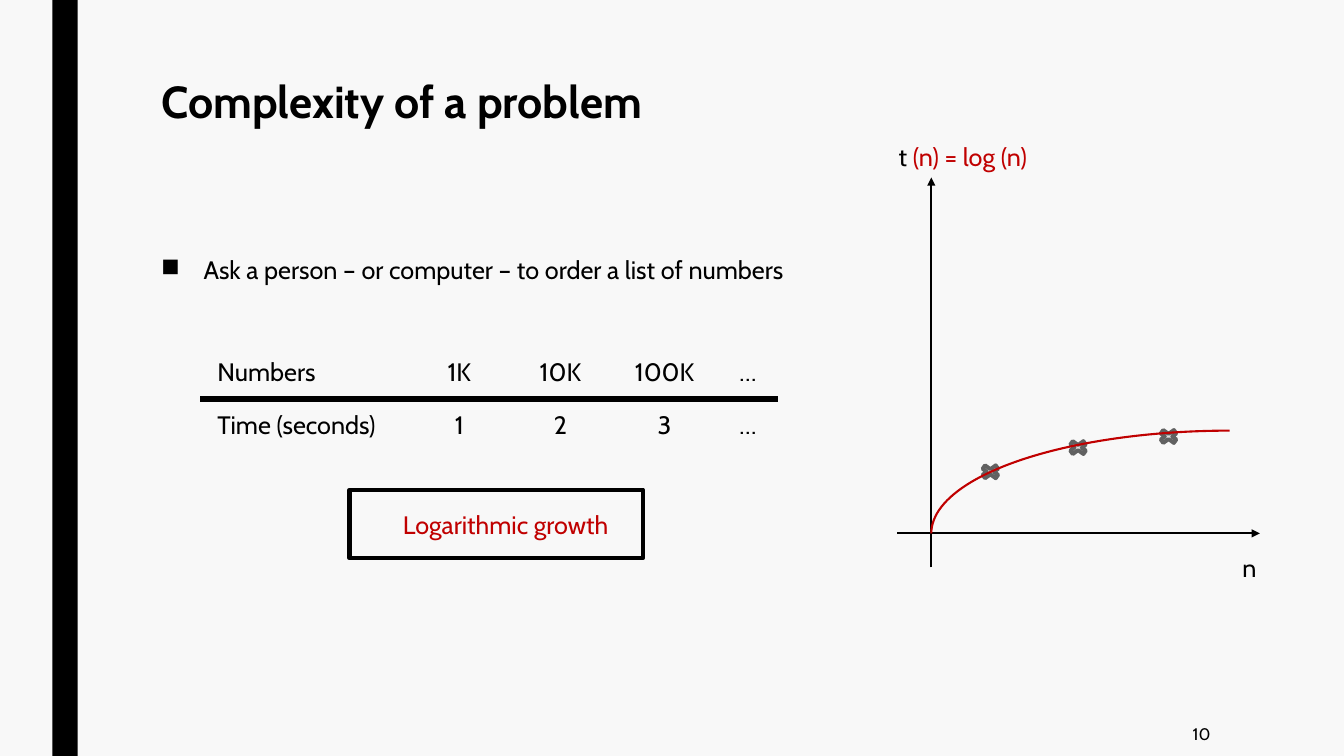
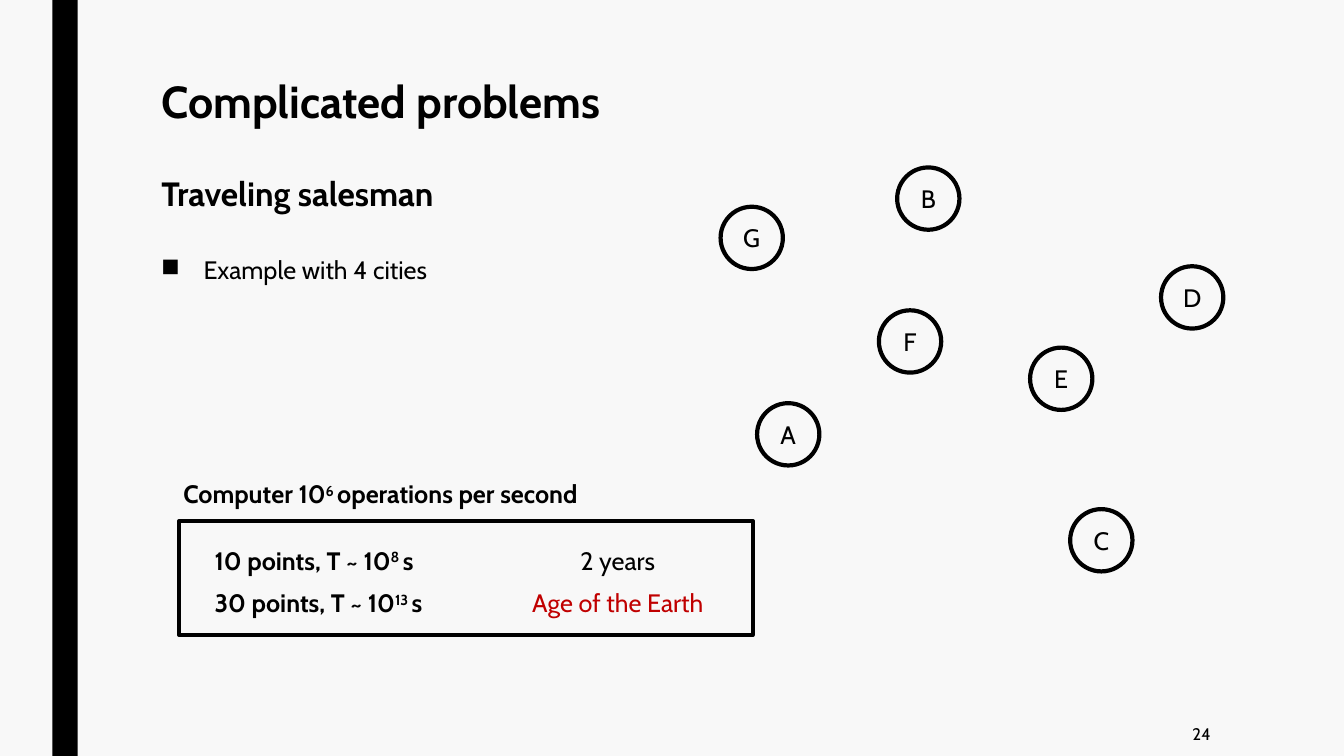
from dataclasses import dataclass
from typing import Any

from lxml import etree
from pptx import Presentation
from pptx.dml.color import RGBColor
from pptx.enum import shapes as kinds, text as styles
from pptx.oxml.ns import qn
from pptx.util import Cm, Pt

BLACK = RGBColor(0x00, 0x00, 0x00)
RED = RGBColor(0xC0, 0x00, 0x00)
PAPER = RGBColor(0xF8, 0xF8, 0xF8)
MARKER_FILL = RGBColor(0xDD, 0xDD, 0xDD)
MARKER_LINE = RGBColor(0x61, 0x61, 0x61)
FONT = "Cabin"
SLIDE_WIDTH, SLIDE_HEIGHT = 33.87, 19.05
TITLE_LEFT = 3.81
BULLET_INDENT = 1.07

Shape = kinds.MSO_SHAPE
Align = styles.PP_ALIGN
Anchor = styles.MSO_ANCHOR


@dataclass(frozen=True)
class Box:
    """A position and size in centimetres."""
    left: float
    top: float
    width: float
    height: float

    def lengths(self) -> tuple[Cm, Cm, Cm, Cm]:
        return Cm(self.left), Cm(self.top), Cm(self.width), Cm(self.height)


@dataclass(frozen=True)
class Span:
    text: str
    size: float = 18
    bold: bool = False
    color: RGBColor = BLACK
    superscript: bool = False


@dataclass(frozen=True)
class City:
    name: str
    left: float
    top: float


@dataclass(frozen=True)
class Estimate:
    points: int
    exponent: int
    duration: str
    color: RGBColor


NUMBERS_TABLE = Box(5.05, 8.7, 14.55, 2.7)
NUMBERS_COLUMNS = (5.25, 2.55, 2.55, 2.7, 1.5)
NUMBERS_ROWS = (("Numbers", "1K", "10K", "100K", "…"),
                ("Time (seconds)", "1", "2", "3", "…"))

ORIGIN_X, ORIGIN_Y = 23.47, 13.44
MARKER_SPOTS = ((24.64, 11.66), (26.85, 11.05), (29.13, 10.77))
CURVE = Box(28.4, 5.92, 5.18, 15.04)

CITY_SIZE = 1.57
CITIES = (City("A", 19.08, 10.16), City("B", 22.61, 4.22),
          City("C", 26.97, 12.83), City("D", 29.26, 6.71),
          City("E", 25.96, 8.76), City("F", 22.15, 7.82),
          City("G", 18.16, 5.21))

ESTIMATES = (Estimate(10, 8, "2 years", BLACK),
             Estimate(30, 13, "Age of the Earth", RED))
ESTIMATE_TOP, ESTIMATE_PITCH = 13.61, 1.07


def apply(target: Any, values: dict[str, Any]) -> None:
    for name, value in values.items():
        setattr(target, name, value)


def write(paragraph: Any, *spans: Span, **formats: Any) -> None:
    """Add the spans as runs and format the paragraph."""
    apply(paragraph, formats)
    for span in spans:
        run = paragraph.add_run()
        run.text = span.text
        apply(run.font, {"name": FONT, "size": Pt(span.size), "bold": span.bold})
        run.font.color.rgb = span.color
        if span.superscript:
            run._r.get_or_add_rPr().set("baseline", "30000")


def add_text(slide: Any, box: Box, *spans: Span,
             anchor: Any = Anchor.TOP, **formats: Any) -> Any:
    frame = slide.shapes.add_textbox(*box.lengths()).text_frame
    apply(frame, {"word_wrap": True, "vertical_anchor": anchor})
    write(frame.paragraphs[0], *spans, **formats)
    return frame.paragraphs[0]


def add_bullet(slide: Any, box: Box, wording: str) -> None:
    paragraph = add_text(slide, box, Span(wording), line_spacing=0.94,
                         space_after=Pt(2))
    properties = paragraph._p.get_or_add_pPr()
    properties.set("marL", str(Cm(BULLET_INDENT)))
    properties.set("indent", str(-Cm(BULLET_INDENT)))
    etree.SubElement(properties, qn("a:buChar")).set("char", "■")


def add_shape(slide: Any, kind: Any, box: Box, fill: RGBColor | None = None,
              line: RGBColor | None = BLACK, weight: float = 3) -> Any:
    shape = slide.shapes.add_shape(kind, *box.lengths())
    shape.shadow.inherit = False
    if fill is None:
        shape.fill.background()
    else:
        shape.fill.solid()
        shape.fill.fore_color.rgb = fill
    if line is None:
        shape.line.fill.background()
    else:
        shape.line.color.rgb = line
        shape.line.width = Pt(weight)
    return shape


def label(shape: Any, span: Span, left_margin: float = 0) -> None:
    """Centre one span inside a shape."""
    apply(shape.text_frame, {"margin_left": Cm(left_margin), "margin_right": 0,
                             "margin_top": 0, "margin_bottom": 0,
                             "word_wrap": True, "vertical_anchor": Anchor.MIDDLE})
    write(shape.text_frame.paragraphs[0], span, alignment=Align.CENTER)


def add_axis(slide: Any, start: tuple[float, float],
             end: tuple[float, float]) -> None:
    axis = slide.shapes.add_connector(
        kinds.MSO_CONNECTOR.STRAIGHT, *(Cm(value) for value in start + end))
    axis.line.color.rgb = BLACK
    axis.line.width = Pt(1.5)
    etree.SubElement(axis.line._get_or_add_ln(), qn("a:tailEnd")).set("type", "triangle")
    etree.SubElement(axis._element.spPr, qn("a:effectLst"))


def set_borders(cell: Any, ruled_side: str) -> None:
    """Rule one side of a cell and clear the other three."""
    properties = cell._tc.get_or_add_tcPr()
    for side in ("lnL", "lnR", "lnT", "lnB"):
        border = etree.SubElement(properties, qn(f"a:{side}"))
        if side == ruled_side:
            border.set("w", str(Pt(4.5)))
            fill = etree.SubElement(border, qn("a:solidFill"))
            etree.SubElement(fill, qn("a:srgbClr")).set("val", str(BLACK))
        else:
            etree.SubElement(border, qn("a:noFill"))


def add_numbers_table(slide: Any) -> None:
    table = slide.shapes.add_table(len(NUMBERS_ROWS), len(NUMBERS_COLUMNS),
                                   *NUMBERS_TABLE.lengths()).table
    apply(table, {"first_row": False, "horz_banding": False})
    for column, width in zip(table.columns, NUMBERS_COLUMNS):
        column.width = Cm(width)
    for row, values in enumerate(NUMBERS_ROWS):
        for column, value in enumerate(values):
            cell = table.cell(row, column)
            set_borders(cell, "lnT" if row else "lnB")
            cell.fill.background()
            apply(cell, {"margin_left": Cm(0 if column else 0.43),
                         "margin_right": 0, "vertical_anchor": Anchor.MIDDLE})
            write(cell.text_frame.paragraphs[0], Span(value),
                  alignment=Align.CENTER if column else Align.LEFT)


def start_slide(presentation: Any, number: int, title: str,
                subtitle: str | None = None) -> Any:
    """Add a slide with the side band, title and page number."""
    slide = presentation.slides.add_slide(presentation.slide_layouts[5])
    add_shape(slide, Shape.RECTANGLE, Box(1.32, 0, 0.64, SLIDE_HEIGHT), BLACK, None)
    placeholder = slide.shapes.title
    box = Box(TITLE_LEFT, 1.9, 26.67, 4.11 if subtitle else 2.13)
    apply(placeholder, dict(zip(("left", "top", "width", "height"), box.lengths())))
    frame = placeholder.text_frame
    apply(frame, {"vertical_anchor": Anchor.TOP, "word_wrap": True,
                  "auto_size": styles.MSO_AUTO_SIZE.NONE})
    formats = {"alignment": Align.LEFT, "line_spacing": 0.89}
    write(frame.paragraphs[0], Span(title, 32, True), **formats)
    if subtitle:
        write(frame.add_paragraph(), Span(subtitle, 24, True),
              space_before=Pt(35), **formats)
    add_text(slide, Box(26.31, 17.93, 4.45, 1.12), Span(str(number), 12),
             anchor=Anchor.MIDDLE, alignment=Align.RIGHT)
    return slide


def build_complexity(presentation: Any) -> None:
    slide = start_slide(presentation, 10, "Complexity of a problem")
    add_bullet(slide, Box(TITLE_LEFT, 6.35, 20.14, 1.37),
               "Ask a person – or computer – to order a list of numbers")
    add_numbers_table(slide)
    growth = add_shape(slide, Shape.RECTANGLE, Box(8.81, 12.34, 7.39, 1.73))
    label(growth, Span("Logarithmic growth", color=RED), left_margin=0.48)

    add_axis(slide, (ORIGIN_X, 14.3), (ORIGIN_X, 4.47))
    add_axis(slide, (22.61, ORIGIN_Y), (31.75, ORIGIN_Y))
    add_text(slide, Box(30.89, 13.79, 1.2, 1.02), Span("n"), alignment=Align.CENTER)
    add_text(slide, Box(22.4, 3.44, 4.5, 1.02), Span("t "),
             Span("(n) = log (n)", color=RED))
    for left, top in MARKER_SPOTS:
        add_shape(slide, Shape.MATH_MULTIPLY, Box(left, top, 0.64, 0.46),
                  MARKER_FILL, MARKER_LINE, 2.75)
    add_shape(slide, Shape.ARC, CURVE, line=RED, weight=1.5).rotation = 270


def build_salesman(presentation: Any) -> None:
    slide = start_slide(presentation, 24, "Complicated problems", "Traveling salesman")
    add_bullet(slide, Box(TITLE_LEFT, 6.35, 12.12, 9.63), "Example with 4 cities")
    for city in CITIES:
        circle = add_shape(slide, Shape.OVAL,
                           Box(city.left, city.top, CITY_SIZE, CITY_SIZE))
        label(circle, Span(city.name))

    add_text(slide, Box(4.37, 11.94, 11.2, 1.02), Span("Computer 10", bold=True),
             Span("6 ", bold=True, superscript=True),
             Span("operations per second", bold=True))
    add_shape(slide, Shape.RECTANGLE, Box(4.52, 13.13, 14.45, 2.87))
    for row, estimate in enumerate(ESTIMATES):
        top = ESTIMATE_TOP + row * ESTIMATE_PITCH
        add_text(slide, Box(5.16, top, 7.4, 1.02),
                 Span(f"{estimate.points} points, T ~ 10", bold=True),
                 Span(f"{estimate.exponent} ", bold=True, superscript=True),
                 Span("s", bold=True))
        add_text(slide, Box(12.7, top, 5.74, 1.02),
                 Span(estimate.duration, color=estimate.color),
                 alignment=Align.CENTER)


def main() -> None:
    presentation = Presentation()
    apply(presentation, {"slide_width": Cm(SLIDE_WIDTH),
                         "slide_height": Cm(SLIDE_HEIGHT)})
    background = presentation.slide_master.background.fill
    background.solid()
    background.fore_color.rgb = PAPER
    build_complexity(presentation)
    build_salesman(presentation)
    presentation.save("out.pptx")


if __name__ == "__main__":
    main()
